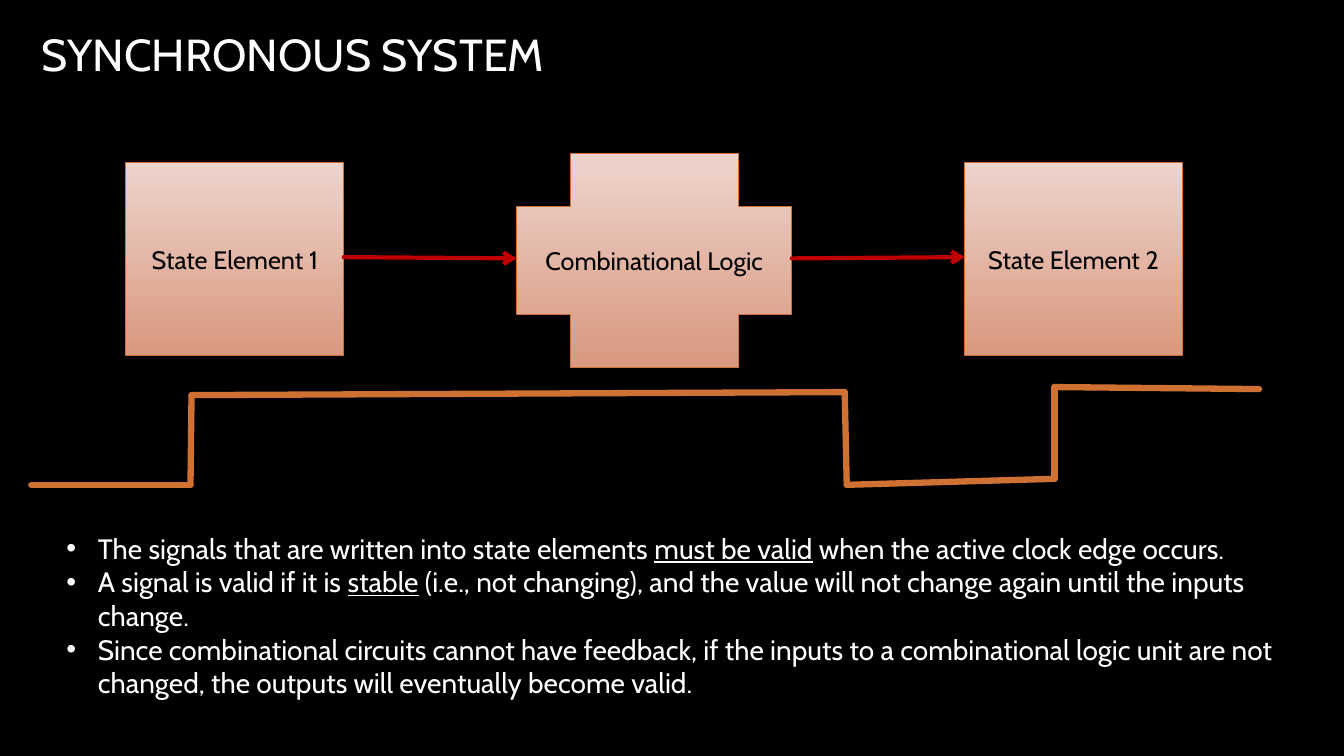
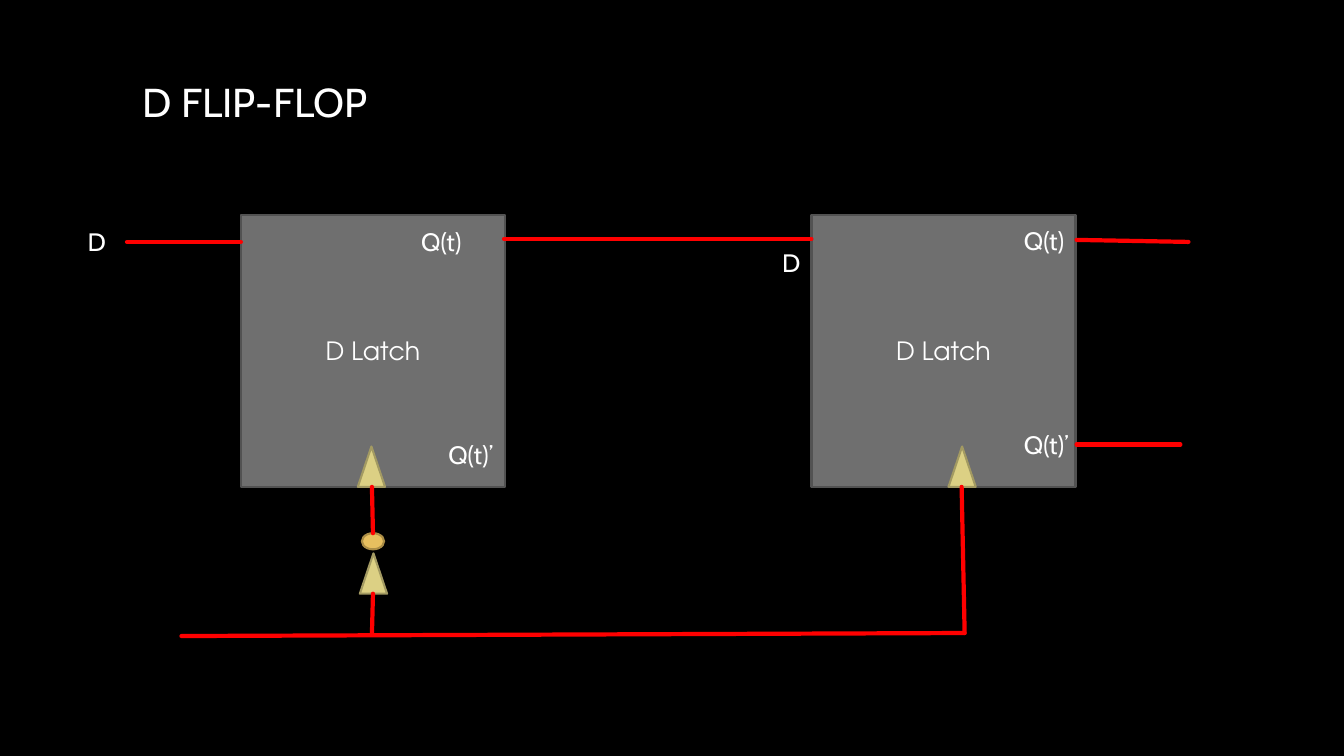
from dataclasses import dataclass
from itertools import pairwise

from lxml import etree
from pptx import Presentation
from pptx.dml.color import RGBColor
from pptx.enum.shapes import MSO_CONNECTOR, MSO_SHAPE
from pptx.enum.text import MSO_ANCHOR, PP_ALIGN
from pptx.oxml.ns import qn
from pptx.util import Emu, Inches, Pt

RECTANGLE, CROSS = MSO_SHAPE.RECTANGLE, MSO_SHAPE.CROSS
TRIANGLE, OVAL = MSO_SHAPE.ISOSCELES_TRIANGLE, MSO_SHAPE.OVAL
STRAIGHT = MSO_CONNECTOR.STRAIGHT
MIDDLE, TOP = MSO_ANCHOR.MIDDLE, MSO_ANCHOR.TOP
CENTER, LEFT = PP_ALIGN.CENTER, PP_ALIGN.LEFT

COLUMNS, ROWS = 133.33, 75
CELL = Inches(0.1)
BODY_FONT, LATCH_FONT = "Cabin", "TeX Gyre Adventor"
BLACK, WHITE = "000000", "FFFFFF"
PEACH, CLAY, ORANGE, CRIMSON = "EED4CC", "D9987F", "CF7133", "C00000"
GRAY, DARK_GRAY, RED = "6F6F6F", "525252", "FF0000"
SAND, OLIVE, AMBER, BRONZE = "DCD084", "A39A62", "E7BF5F", "AB8D46"

BULLETS = [
    [("The signals that are written into state elements ", False),
     ("must be valid", True),
     (" when the active clock edge occurs.", False)],
    [("A signal is valid if it is ", False),
     ("stable", True),
     (" (i.e., not changing), and the value will not change again until the "
      "inputs change.", False)],
    [("Since combinational circuits cannot have feedback, if the inputs to a "
      "combinational logic unit are not changed, the outputs will eventually "
      "become valid.", False)],
]


@dataclass
class Box:
    """A region measured in columns and rows of the slide grid."""
    left: float
    top: float
    width: float
    height: float

    def inner(self, column, row, width, height):
        """Return a box offset from this one's corner."""
        return Box(self.left + column, self.top + row, width, height)

    def point(self, column, row):
        """Return a point offset from this box's corner."""
        return self.left + column, self.top + row

    def share(self, across, down):
        """Return a point at shares of this box's width and height."""
        return self.point(self.width * across, self.height * down)

    def emu(self):
        """Return left, top, width and height as lengths."""
        return [cells(n) for n in (self.left, self.top, self.width, self.height)]


def cells(count):
    """Convert grid cells to a length."""
    return Emu(round(count * CELL))


def color(value):
    """Turn a hex string into a colour."""
    return RGBColor.from_string(value)


def add_run(paragraph, text, size, ink, font=BODY_FONT, underline=False):
    """Add one styled run to a paragraph."""
    run = paragraph.add_run()
    run.text = text
    run.font.size, run.font.name = Pt(size), font
    run.font.color.rgb = color(ink)
    if underline:
        run.font.underline = True


def text_frame(slide, box, anchor=TOP):
    """Add a wrapping text box and return its frame."""
    frame = slide.shapes.add_textbox(*box.emu()).text_frame
    frame.word_wrap = True
    frame.vertical_anchor = anchor
    return frame


def label(slide, box, text, size=18, anchor=TOP):
    """Add a single line of white text."""
    paragraph = text_frame(slide, box, anchor).paragraphs[0]
    paragraph.alignment = LEFT
    add_run(paragraph, text, size, WHITE)


def block(slide, preset, box, fills, edge, weight, text="", ink=WHITE, font=BODY_FONT):
    """Add an outlined shape with a plain or two-stop vertical fill."""
    shape = slide.shapes.add_shape(preset, *box.emu())
    shape.shadow.inherit = False
    if len(fills) == 1:
        shape.fill.solid()
        shape.fill.fore_color.rgb = color(fills[0])
    else:
        shape.fill.gradient()
        shape.fill.gradient_angle = 270
        for stop, shade in zip(shape.fill.gradient_stops, fills):
            stop.color.rgb = color(shade)
    shape.line.color.rgb, shape.line.width = color(edge), Pt(weight)
    if text:
        shape.text_frame.vertical_anchor = MIDDLE
        paragraph = shape.text_frame.paragraphs[0]
        paragraph.alignment = CENTER
        add_run(paragraph, text, 18, ink, font)


def wire(slide, start, end, ink=RED, weight=3, arrow=False):
    """Draw a round-capped line between two grid points."""
    ends = [cells(n) for n in (*start, *end)]
    connector = slide.shapes.add_connector(STRAIGHT, *ends)
    connector.line.color.rgb, connector.line.width = color(ink), Pt(weight)
    properties = connector.element.spPr
    outline = properties.find(qn("a:ln"))
    outline.set("cap", "rnd")
    if arrow:
        etree.SubElement(outline, qn("a:tailEnd"), type="arrow")
    etree.SubElement(properties, qn("a:effectLst"))


def pipeline(slide, box):
    """Place two state elements around the combinational logic."""
    side, tall, logic_width = 21.6, 19.2, 27.3
    first = box.inner(0, 0.9, side, tall)
    last = box.inner(box.width - side, 0.9, side, tall)
    logic = box.inner((box.width - logic_width) / 2, 0, logic_width, box.height)
    for preset, place, name in ((RECTANGLE, first, "State Element 1"),
                                (RECTANGLE, last, "State Element 2"),
                                (CROSS, logic, "Combinational Logic")):
        block(slide, preset, place, (PEACH, CLAY), ORANGE, 0.75, name, BLACK)
    for source, target in ((first, logic), (logic, last)):
        wire(slide, source.share(1, 0.49), target.share(0, 0.49), CRIMSON, arrow=True)


def clock_signal(slide, box):
    """Trace the clock waveform across its box."""
    corners = [(0, 9.7), (15.8, 9.7), (15.9, 0.8), (80.7, 0.5),
               (80.9, 9.7), (101.5, 9.1), (101.5, 0), (box.width, 0.2)]
    for start, end in pairwise(corners):
        wire(slide, box.point(*start), box.point(*end), ORANGE, 4.5)


def bullet_list(slide, box):
    """Write the bulleted rules."""
    frame = text_frame(slide, box)
    indent = cells(3.13)
    for index, runs in enumerate(BULLETS):
        paragraph = frame.add_paragraph() if index else frame.paragraphs[0]
        paragraph.alignment = LEFT
        properties = paragraph._p.get_or_add_pPr()
        properties.set("marL", str(indent))
        properties.set("indent", str(-indent))
        etree.SubElement(properties, qn("a:buFont"), typeface="Arial")
        etree.SubElement(properties, qn("a:buChar"), char="•")
        for text, underlined in runs:
            add_run(paragraph, text, 20, WHITE, underline=underlined)


def latch(slide, box, clock_column, output, inverse):
    """Place a latch with its clock wedge and output labels."""
    block(slide, RECTANGLE, box, (GRAY,), DARK_GRAY, 1.5, "D Latch", font=LATCH_FONT)
    wedge(slide, box.inner(clock_column, box.height - 4, 2.7, 4))
    for spot, name in ((output, "Q(t)"), (inverse, "Q(t)’")):
        label(slide, box.inner(*spot, 8.2, 4), name)


def wedge(slide, box):
    """Draw a clock triangle."""
    block(slide, TRIANGLE, box, (SAND,), OLIVE, 1.5)


def inverter(slide, box):
    """Draw a triangle topped by its inversion bubble."""
    wedge(slide, box.inner(0, 2, box.width, box.height - 2))
    block(slide, OVAL, box.inner(0.2, 0, 2.2, 1.6), (AMBER,), BRONZE, 1.5)


def flip_flop(slide, box):
    """Wire two latches to a shared clock and label the inputs."""
    latch(slide, box.inner(16.2, 0, 26.2, 27), 11.6, (16.9, 0.7), (19.6, 21.8))
    latch(slide, box.inner(72.8, 0, 26.2, 27), 13.6, (20.1, 0.6), (20.1, 20.8))
    inverter(slide, box.inner(28, 31.6, 2.7, 6))
    for start, end in (((29.3, 31.6), (29.2, 27)),
                       ((87.7, 27), (88, 41.5)),
                       ((29.3, 37.6), (29.2, 41.6)),
                       ((10.3, 41.8), (88, 41.5)),
                       ((4.9, 2.7), (16.2, 2.7)),
                       ((42.3, 2.4), (72.8, 2.4)),
                       ((99.1, 2.5), (110.2, 2.7)),
                       ((99.1, 22.8), (109.4, 22.8))):
        wire(slide, box.point(*start), box.point(*end))
    for column, row in ((0, 0.7), (68.9, 2.7)):
        label(slide, box.inner(column, row, 6.3, 4), "D")


def new_slide(deck, title, box, size):
    """Add a black slide with its title."""
    slide = deck.slides.add_slide(deck.slide_layouts[6])
    slide.background.fill.solid()
    slide.background.fill.fore_color.rgb = color(BLACK)
    label(slide, box, title, size, MIDDLE)
    return slide


def main():
    """Build and save the deck."""
    deck = Presentation()
    deck.slide_width, deck.slide_height = cells(COLUMNS), cells(ROWS)

    system = new_slide(deck, "SYNCHRONOUS SYSTEM", Box(3.1, 0.3, 108.3, 10), 32)
    pipeline(system, Box(12.5, 15.2, 104.8, 21.3))
    clock_signal(system, Box(3.1, 38.4, 121.8, 9.7))
    bullet_list(system, Box(5.6, 52.2, 122.1, 21.2))

    circuit = new_slide(deck, "D FLIP-FLOP", Box(13.2, 5.1, 108.3, 10), 28.8)
    flip_flop(circuit, Box(7.7, 21.3, 110.2, 42))

    deck.save("out.pptx")


if __name__ == "__main__":
    main()
